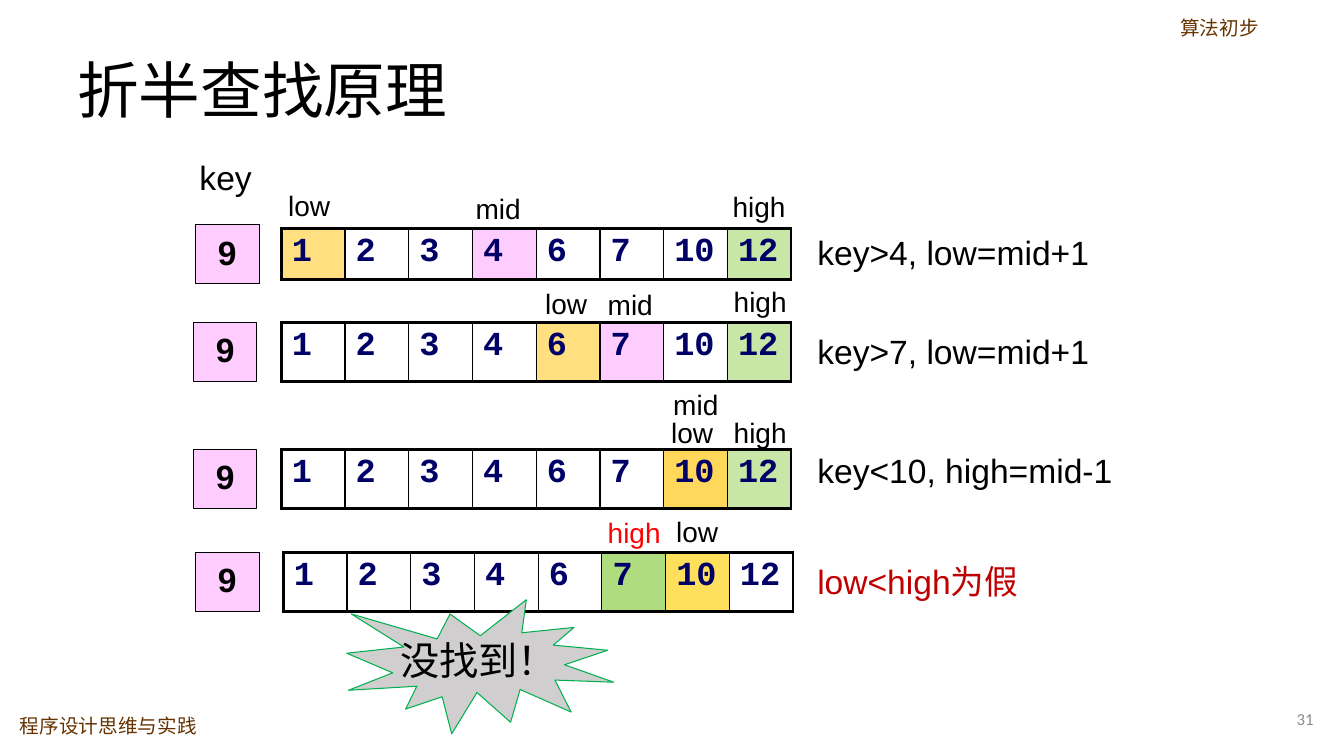
from lxml.etree import SubElement
from pptx import Presentation
from pptx.dml.color import RGBColor
from pptx.enum.shapes import MSO_SHAPE
from pptx.enum.text import MSO_ANCHOR, PP_ALIGN
from pptx.oxml import parse_xml
from pptx.oxml.ns import nsdecls, qn
from pptx.util import Pt


def color(value):
    return RGBColor.from_string(value)


def write(frame, text, size, name="Arial", ink="000000", bold=False, **layout):
    paragraph = frame.paragraphs[0]
    for attribute, value in {"line_spacing": 0.9, **layout}.items():
        setattr(paragraph, attribute, value)
    run = paragraph.add_run()
    run.text = text
    for attribute, value in {"size": Pt(size), "name": name, "bold": bold}.items():
        setattr(run.font, attribute, value)
    run.font.color.rgb = color(ink)
    properties = run._r.get_or_add_rPr()
    properties.set("lang", "zh-CN")
    SubElement(properties, qn("a:ea"), typeface="Noto Sans CJK SC")


presentation = Presentation()
presentation.slide_width = Pt(960)
presentation.slide_height = Pt(540)
slide = presentation.slides.add_slide(presentation.slide_layouts[5])

title = slide.shapes.title
for attribute, value in {"left": 48, "top": 21.6, "width": 864, "height": 90}.items():
    setattr(title, attribute, Pt(value))
title.text_frame.vertical_anchor = MSO_ANCHOR.MIDDLE
write(title.text_frame, "折半查找原理", 44, "Calibri", alignment=PP_ALIGN.LEFT)

numbers = [1, 2, 3, 4, 6, 7, 10, 12]
low_fill, mid_fill, high_fill = ("FFC000", 50), ("FFCCFF", 100), ("92D050", 50)
steps = [
    {"table": (200.9, 163.4, 36), "key": (139.7, 160.6),
     "fills": {1: low_fill, 4: mid_fill, 12: high_fill}},
    {"table": (200.9, 230.4, 42), "key": (138.2, 230.4),
     "fills": {6: low_fill, 7: mid_fill, 12: high_fill}},
    {"table": (200.9, 321.1, 42), "key": (138.2, 321.1),
     "fills": {10: ("FFD85B", 100), 12: high_fill}},
    {"table": (202.3, 394.6, 42), "key": (139.7, 394.6),
     "fills": {7: ("AFDC7E", 100), 10: ("FFE05D", 100)}},
]
shapes = []
for step in steps:
    left, top, height = step["table"]
    table = slide.shapes.add_table(
        1, len(numbers), Pt(left), Pt(top), Pt(364.32), Pt(height)).table
    table.first_row = table.horz_banding = False
    table.rows[0].height = Pt(height)
    for column, number in enumerate(numbers):
        table.columns[column].width = Pt(45.54)
        cell = table.cell(0, column)
        margins = {"margin_left": 7.6, "margin_right": 7.6, "margin_top": 3.6, "margin_bottom": 3.6}
        for attribute, value in margins.items():
            setattr(cell, attribute, Pt(value))
        write(cell.text_frame, str(number), 24, "Courier New", "000066", True, line_spacing=0.95)
        widths = {"lnL": 1 if column else 2.25,
                  "lnR": 2.25 if number == numbers[-1] else 1,
                  "lnT": 2.25, "lnB": 2.25}
        properties = cell._tc.get_or_add_tcPr()
        for side, width in widths.items():
            properties.append(parse_xml(
                f'<a:{side} {nsdecls("a")} w="{Pt(width)}"><a:solidFill>'
                f'<a:srgbClr val="000000"/></a:solidFill></a:{side}>'))
        if number in step["fills"]:
            value, opacity = step["fills"][number]
            cell.fill.solid()
            cell.fill.fore_color.rgb = color(value)
            if opacity < 100:
                paint = properties.find(qn("a:solidFill")).find(qn("a:srgbClr"))
                SubElement(paint, qn("a:alpha"), val=str(opacity * 1000))
        else:
            cell.fill.background()
    shapes.append((MSO_SHAPE.RECTANGLE, *step["key"], 45.4, 42, "FFCCFF", "000000",
                   "9", 24, "Arial", True))

shapes.append((MSO_SHAPE.EXPLOSION1, 247.7, 428.4, 190.8, 95.8, "D0CECE", "00B050",
               "没找到！", 28, "Noto Sans CJK SC", False))
for kind, left, top, width, height, fill, line, text, size, name, bold in shapes:
    shape = slide.shapes.add_shape(kind, Pt(left), Pt(top), Pt(width), Pt(height))
    shape.shadow.inherit = False
    shape.fill.solid()
    shape.fill.fore_color.rgb = color(fill)
    shape.line.color.rgb = color(line)
    shape.line.width = Pt(0.75)
    shape.text_frame.word_wrap = False
    shape.text_frame.vertical_anchor = MSO_ANCHOR.MIDDLE
    write(shape.text_frame, text, size, name, bold=bold,
          alignment=PP_ALIGN.CENTER, space_after=Pt(5.9))

pointers = [
    ("low", 198.7, 133.9), ("mid", 332.6, 136.1), ("high", 516.2, 134.6),
    ("low", 382.3, 203.8), ("mid", 427, 204.5), ("high", 517, 202.3),
    ("low", 472.3, 295.9), ("mid", 473.8, 275.8), ("high", 517, 295.9),
    ("low", 475.9, 366.5),
]
notes = [("key>4, low=mid+1", 165.6), ("key>7, low=mid+1", 236.2), ("key<10, high=mid-1", 321.1)]
labels = [(text, left, top, 60.5, 28.8, 20, "Arial", "000000") for text, left, top in pointers]
labels += [(text, 576.7, top, 237.6, 33.1, 24, "Arial", "000000") for text, top in notes]
labels += [
    ("high", 427, 367.2, 60.5, 28.8, 20, "Arial", "FF0000"),
    ("low<high为假", 576.7, 400.3, 241.9, 33.1, 24, "Arial", "C00000"),
    ("key", 135.4, 111.6, 95, 33.1, 24, "Arial", "000000"),
    ("程序设计思维与实践", 7.2, 508.3, 180, 23, 14, "Arial", "663300"),
    ("算法初步", 835.9, 9.4, 118.8, 28.1, 14, "Noto Sans CJK SC", "663300"),
]
for text, left, top, width, height, size, name, ink in labels:
    label = slide.shapes.add_textbox(Pt(left), Pt(top), Pt(width), Pt(height))
    label.text_frame.word_wrap = True
    write(label.text_frame, text, size, name, ink)

page_number = slide.shapes.add_textbox(Pt(849.6), Pt(502.6), Pt(95.8), Pt(22.3))
page_number.text_frame.word_wrap = True
page_number.text_frame.vertical_anchor = MSO_ANCHOR.MIDDLE
write(page_number.text_frame, "31", 12, "Calibri", "8C8C8C", alignment=PP_ALIGN.RIGHT, line_spacing=1.0)

presentation.save("out.pptx")
